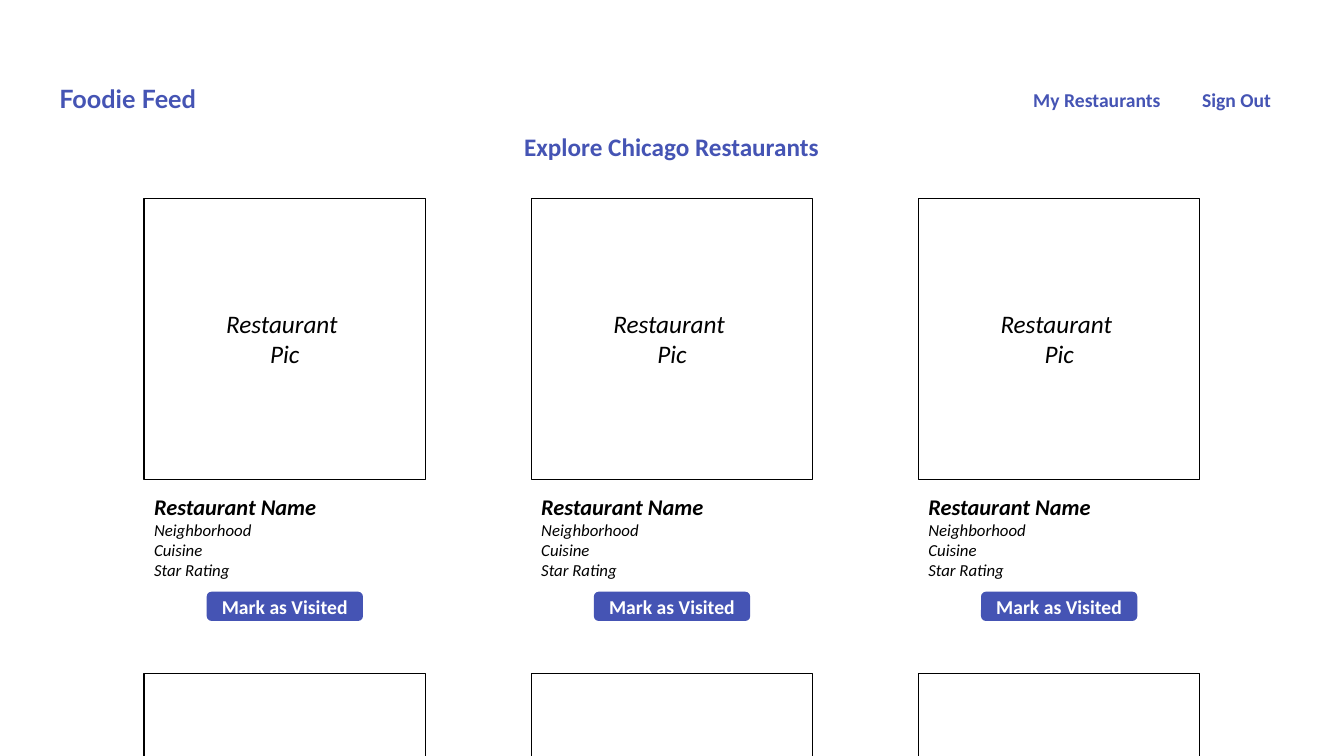
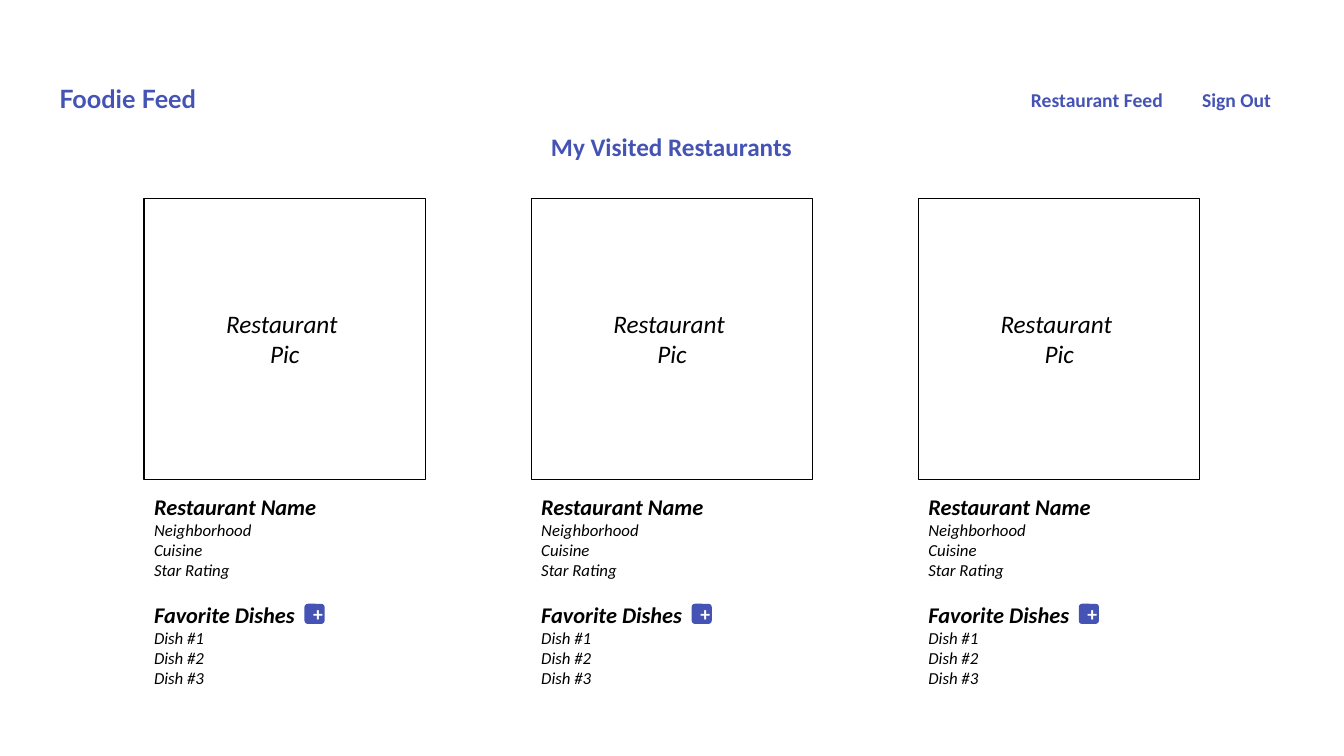
from pptx import Presentation
from pptx.dml.color import RGBColor
from pptx.enum import shapes, text
from pptx.util import Inches, Pt

BLUE, BLACK, WHITE = "4554B4", "000000", "FFFFFF"
FONT, BRAND = "Calibri", "Lato"
WIDE, SIDE, STEP = 13.33, 2.79, 3.84
TOP, NEXT = 1.97, 6.68
LEFTS = [(WIDE - SIDE) / 2 + STEP * i for i in (-1, 0, 1)]
KIND = shapes.MSO_SHAPE
LEFT, MID = text.PP_ALIGN.LEFT, text.PP_ALIGN.CENTER
ABOUT = [("Restaurant Name", 16, True, 0), ("Neighborhood", 12, False, 0),
         ("Cuisine\nStar Rating", 12, False, 0)]
DISHES = [("Favorite Dishes", 16, True, 14.6)] + [
    (f"Dish #{n}", 12, False, 0) for n in (1, 2, 3)]


def paint(hue):
    """Turn a hex string into a colour."""
    return RGBColor.from_string(hue)


def write(para, words, size, hue, bold=False, slant=False, font=FONT, align=MID):
    """Add words to a paragraph, breaking the line at each newline."""
    para.alignment = align
    for i, line in enumerate(words.split("\n")):
        if i:
            para.add_line_break()
        run = para.add_run()
        run.text = line
        face = run.font
        face.name, face.size, face.bold, face.italic = font, Pt(size), bold, slant
        face.color.rgb = paint(hue)


def place(shape, box):
    """Move and size a shape in inches."""
    shape.left, shape.top, shape.width, shape.height = map(Inches, box)


def label(slide, box):
    """Add an empty wrapping text box and return its frame."""
    frame = slide.shapes.add_textbox(*map(Inches, box)).text_frame
    frame.word_wrap = True
    return frame


def block(slide, kind, box, fill=None, line=None):
    """Add a plain shape with an optional fill and outline."""
    shape = slide.shapes.add_shape(kind, *map(Inches, box))
    shape.shadow.inherit = False
    if fill:
        shape.fill.solid()
        shape.fill.fore_color.rgb = paint(fill)
    else:
        shape.fill.background()
    if line:
        shape.line.color.rgb = paint(line)
        shape.line.width = Pt(1)
    else:
        shape.line.fill.background()
    return shape


def button(slide, box, words, inset=0):
    """Add a rounded blue button with white words."""
    frame = block(slide, KIND.ROUNDED_RECTANGLE, box, fill=BLUE).text_frame
    frame.margin_left = Inches(inset)
    frame.margin_right = frame.margin_top = frame.margin_bottom = 0
    frame.vertical_anchor = text.MSO_ANCHOR.MIDDLE
    write(frame.paragraphs[0], words, 14, WHITE, bold=True)


def photo(slide, left, top):
    """Add the square outline that holds a photo."""
    block(slide, KIND.RECTANGLE, (left, top, SIDE, SIDE), line=BLACK)


def card(slide, left, rows, high):
    """Add a photo square with its caption and the details below."""
    photo(slide, left, TOP)
    note = label(slide, (left + 0.7, 3.01, 1.39, 0.71))
    write(note.paragraphs[0], "Restaurant \nPic", 18, BLACK, slant=True)
    frame = label(slide, (left, 4.84, 2.56, high))
    for i, (words, size, bold, gap) in enumerate(rows):
        para = frame.add_paragraph() if i else frame.paragraphs[0]
        para.space_before = Pt(gap)
        write(para, words, size, BLACK, bold, slant=True, align=LEFT)


def page(deck, title, link):
    """Add a slide with its title, brand and two links."""
    slide = deck.slides.add_slide(deck.slide_layouts[5])
    head = slide.shapes.title
    place(head, (5.01, 1.25, 3.3, 0.4))
    frame = head.text_frame
    frame.word_wrap = True
    frame.auto_size = text.MSO_AUTO_SIZE.NONE
    frame.vertical_anchor = text.MSO_ANCHOR.TOP
    write(frame.paragraphs[0], title, 18, BLUE, bold=True)
    brand = label(slide, (0.49, 0.78, 1.74, 0.4))
    write(brand.paragraphs[0], "Foodie Feed", 18, BLUE, True, font=BRAND, align=LEFT)
    for words, left, width in ((link, 10.11, 1.54), ("Sign Out", 11.81, 0.91)):
        nav = label(slide, (left, 0.82, width, 0.34))
        write(nav.paragraphs[0], words, 14, BLUE, bold=True)
    return slide


def main():
    """Build both slides and save the deck."""
    deck = Presentation()
    deck.slide_width, deck.slide_height = Inches(WIDE), Inches(7.5)
    feed = page(deck, "Explore Chicago Restaurants", "My Restaurants")
    seen = page(deck, "My Visited Restaurants", "Restaurant Feed")
    for left in LEFTS:
        card(feed, left, ABOUT, 0.98)
        button(feed, (left + 0.62, 5.87, 1.55, 0.29), "Mark as Visited")
        photo(feed, left, NEXT)
        card(seen, left, ABOUT + DISHES, 2.05)
        button(seen, (left + 1.59, 5.99, 0.2, 0.2), "+", inset=0.07)
    deck.save("out.pptx")


main()
